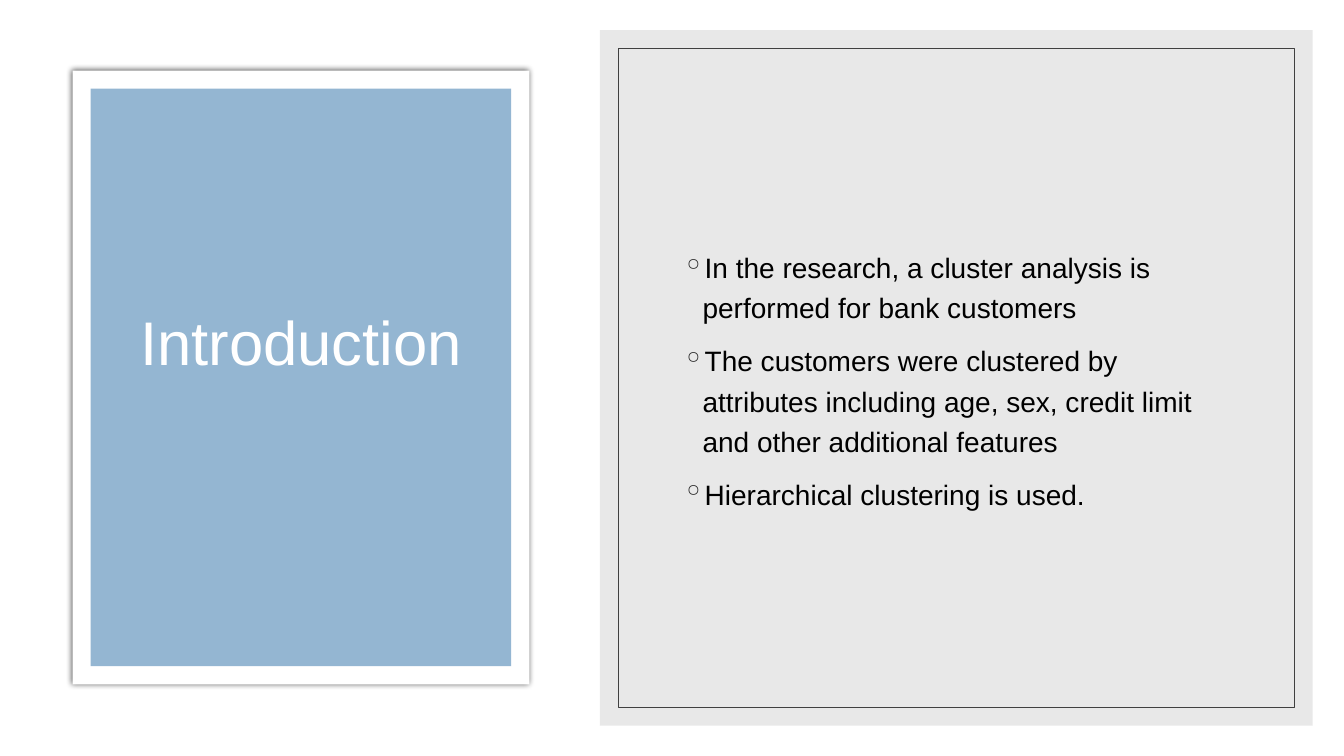
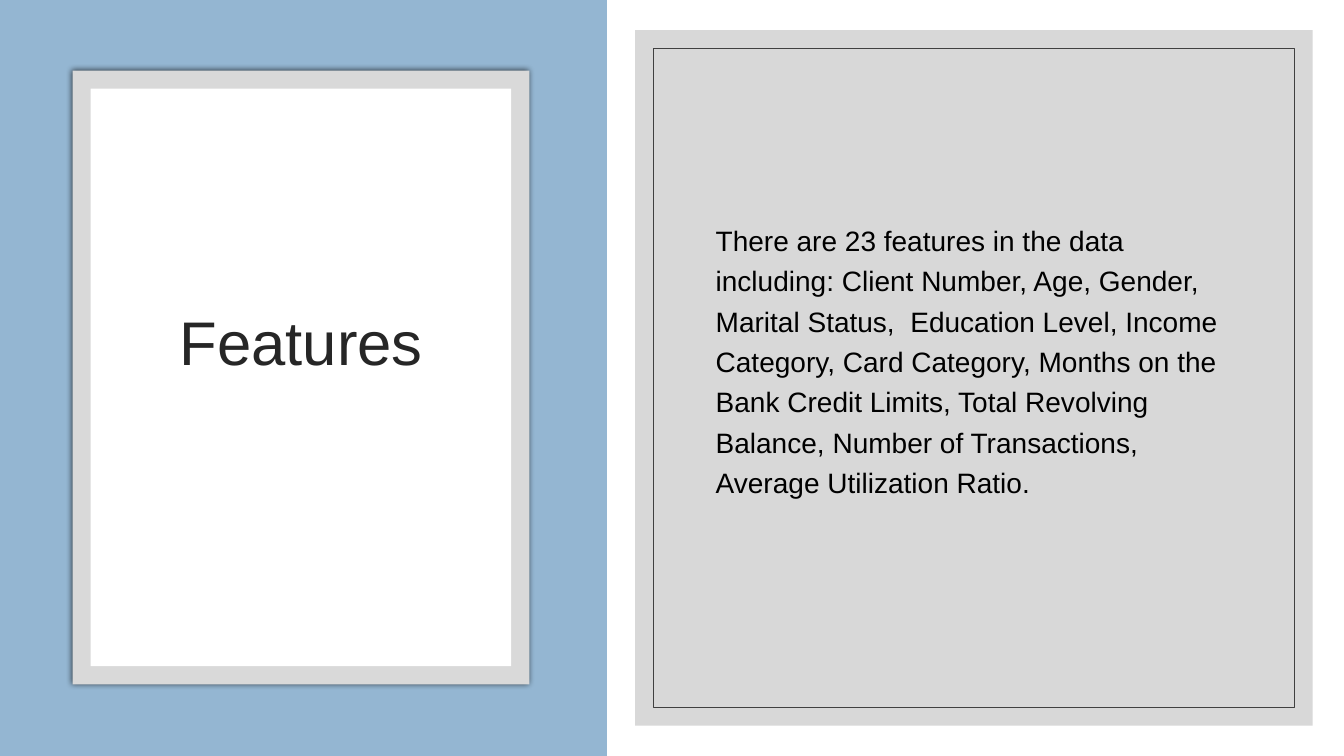
"""Build two slides: a title card on the left and a framed text panel on the right."""
from lxml import etree
from pptx import Presentation
from pptx.dml.color import RGBColor
from pptx.enum import shapes, text
from pptx.oxml import ns
from pptx.util import Inches, Pt

COLOURS = {"blue": "94B6D2", "white": "FFFFFF", "light": "D9D9D9", "grey": "BFBFBF",
           "frame": "404040", "dark": "262626", "black": "000000"}
BORDER = 0.18
PANEL_RIGHT = 13.02
TITLE = {"size": Pt(44), "name": "Arial"}
BODY = {"size": Pt(20), "name": "Arial"}
SLIDES = [
    {"title": "Introduction", "card": "white", "inner": "blue", "title_colour": "white",
     "panel": "light", "panel_left": 5.95, "body_left": 6.67, "body_height": 5.45,
     "bullet": "◦",
     "body": ["In the research, a cluster analysis is performed for bank customers",
              "The customers were clustered by attributes including age, sex, credit limit "
              "and other additional features",
              "Hierarchical clustering is used."]},
    {"title": "Features", "card": "light", "inner": "white", "title_colour": "dark",
     "panel": "grey", "panel_left": 6.3, "body_left": 7, "body_height": 5.06,
     "band": "blue",
     "body": ["There are 23 features in the data including: Client Number, Age, Gender, "
              "Marital Status,  Education Level, Income Category, Card Category, Months on "
              "the Bank Credit Limits, Total Revolving Balance, Number of Transactions, "
              "Average Utilization Ratio."]},
]


def add_box(slide, left, top, width, height, fill=None, line=None):
    box = slide.shapes.add_shape(shapes.MSO_SHAPE.RECTANGLE, Inches(left), Inches(top),
                                 Inches(width), Inches(height))
    box.shadow.inherit = False
    if fill:
        box.fill.solid()
        box.fill.fore_color.rgb = RGBColor.from_string(COLOURS[fill])
    else:
        box.fill.background()
    if line:
        box.line.color.rgb = RGBColor.from_string(COLOURS[line])
        box.line.width = Pt(0.5)
    else:
        box.line.fill.background()
    return box


def add_text(slide, area, paragraphs, colour, font, layout):
    frame = slide.shapes.add_textbox(*map(Inches, area)).text_frame
    frame.word_wrap = True
    frame.vertical_anchor = text.MSO_ANCHOR.MIDDLE
    for index, words in enumerate(paragraphs):
        paragraph = frame.paragraphs[0] if index == 0 else frame.add_paragraph()
        for key, value in layout.items():
            setattr(paragraph, key, value)
        run = paragraph.add_run()
        run.text = words
        run.font.color.rgb = RGBColor.from_string(COLOURS[colour])
        for key, value in font.items():
            setattr(run.font, key, value)
    return frame


deck = Presentation()
deck.slide_width, deck.slide_height = Inches(13.33), Inches(7.5)

for content in SLIDES:
    slide = deck.slides.add_slide(deck.slide_layouts[6])
    if "band" in content:
        add_box(slide, 0, 0, 6.02, 7.5, content["band"])

    card = add_box(slide, 0.72, 0.7, 4.53, 6.09, content["card"])
    effects = card._element.spPr.find(ns.qn("a:effectLst"))
    glow = etree.SubElement(effects, ns.qn("a:outerShdw"), blurRad=str(Pt(4)), dist="0",
                            dir="0", algn="ctr", rotWithShape="0")
    shade = etree.SubElement(glow, ns.qn("a:srgbClr"), val=COLOURS["black"])
    etree.SubElement(shade, ns.qn("a:alpha"), val="66000")
    add_box(slide, 0.72 + BORDER, 0.7 + BORDER, 4.53 - 2 * BORDER, 6.09 - 2 * BORDER,
            content["inner"])
    add_text(slide, (1.08, 1.3, 3.82, 4.25), [content["title"]], content["title_colour"],
             TITLE, {"alignment": text.PP_ALIGN.CENTER, "line_spacing": 0.9})

    left = content["panel_left"]
    width = PANEL_RIGHT - left
    panel = add_box(slide, left, 0.3, width, 6.9, content["panel"])
    tint = panel._element.spPr.find(ns.qn("a:solidFill"))[0]
    etree.SubElement(tint, ns.qn("a:alpha"), val="60000")
    add_box(slide, left + BORDER, 0.3 + BORDER, width - 2 * BORDER, 6.9 - 2 * BORDER,
            line="frame")

    body_left = content["body_left"]
    body = add_text(slide, (body_left, 1.02, 12.33 - body_left, content["body_height"]),
                    content["body"], "black", BODY, {"line_spacing": 1.2})
    for paragraph in body.paragraphs[1:]:
        paragraph.space_before = Pt(9)
    if "bullet" in content:
        for paragraph in body.paragraphs:
            properties = paragraph._p.get_or_add_pPr()
            properties.set("marL", str(Inches(0.2)))
            properties.set("indent", str(-Inches(0.2)))
            bullet_colour = etree.SubElement(properties, ns.qn("a:buClr"))
            etree.SubElement(bullet_colour, ns.qn("a:srgbClr"), val=COLOURS["dark"])
            etree.SubElement(properties, ns.qn("a:buChar"), char=content["bullet"])

deck.save("out.pptx")
